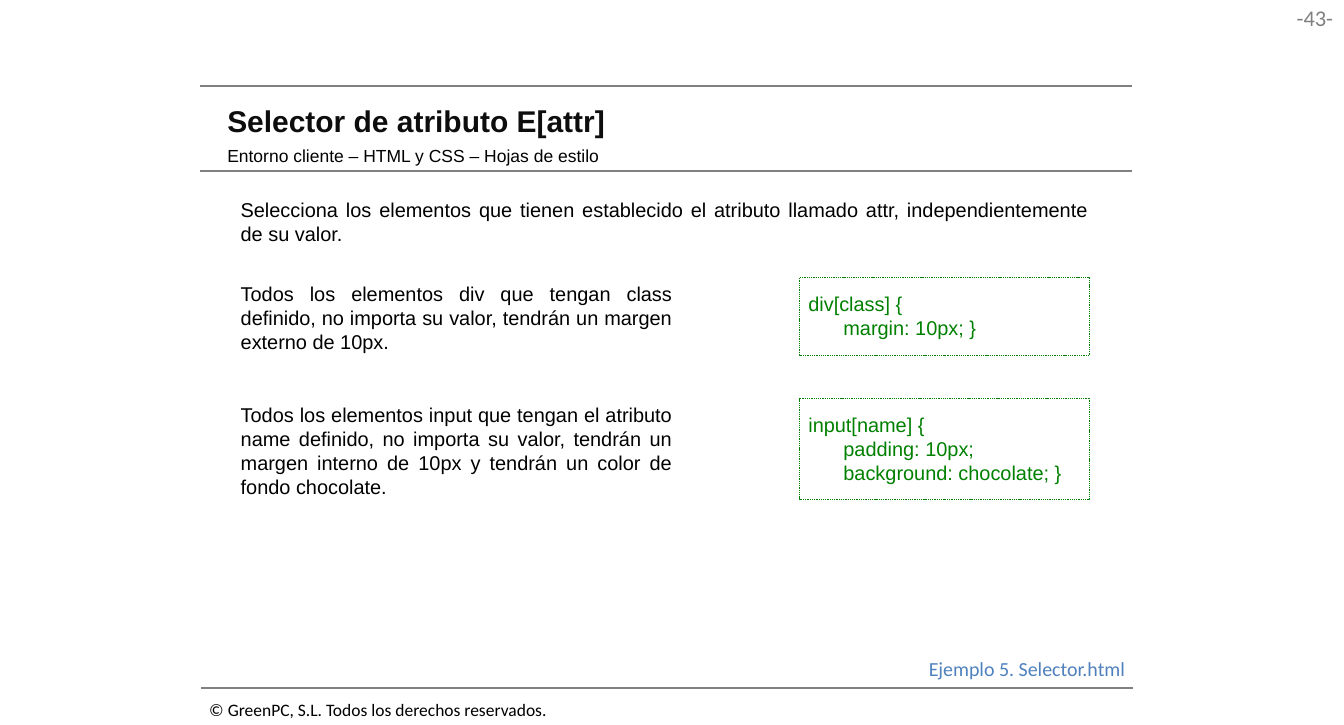
from dataclasses import dataclass

from lxml.etree import SubElement
from pptx import Presentation
from pptx.dml.color import RGBColor
from pptx.enum.dml import MSO_LINE
from pptx.enum.shapes import MSO_CONNECTOR, MSO_SHAPE
from pptx.enum.text import MSO_ANCHOR, MSO_AUTO_SIZE, PP_ALIGN
from pptx.oxml.ns import qn
from pptx.util import Inches, Pt

WIDE, HIGH = Inches(14.96), Inches(8.07)


@dataclass(frozen=True)
class Theme:
    sans: str = "Arial"
    foot: str = "Calibri"
    black: str = "000000"
    head: str = "0D0D0D"
    gray: str = "808080"
    green: str = "008000"
    blue: str = "4F81BD"
    white: str = "FFFFFF"
    big: int = 24
    page: int = 18
    text: int = 16
    small: int = 14


LOOK = Theme()

# Grid in percent of the slide's width and height
LEFT, RIGHT = 14.91, 84.22
HEAD, BODY, CODE = 16.04, 17.25, 59.49
LINE = 3.35  # height of one text line
TOP, STEP = 38.29, 16.6  # first example row and row pitch

EXAMPLES = [
    ("Todos los elementos div que tengan class definido, no importa su valor, "
     "tendrán un margen externo de 10px.", 3,
     ["div[class] {", "\tmargin: 10px; }"]),
    ("Todos los elementos input que tengan el atributo name definido, no importa "
     "su valor, tendrán un margen interno de 10px y tendrán un color de fondo "
     "chocolate.", 4,
     ["input[name] {", "\tpadding: 10px;", "\tbackground: chocolate; }"]),
]


def color(code):
    return RGBColor.from_string(code)


def area(x, y, w, h):
    """Turn percent shares into slide lengths."""
    return [int(size * part / 100)
            for size, part in zip((WIDE, HIGH, WIDE, HIGH), (x, y, w, h))]


def write(shape, *lines, font=LOOK.sans, size=LOOK.text, ink=LOOK.black,
          bold=False, align=PP_ALIGN.LEFT, anchor=MSO_ANCHOR.TOP,
          pad=(0.1, 0.05), wrap=True, plain=False, tab=None):
    """Fill a shape with formatted paragraphs."""
    frame = shape.text_frame
    frame.word_wrap = wrap
    frame.auto_size = MSO_AUTO_SIZE.SHAPE_TO_FIT_TEXT
    frame.vertical_anchor = anchor
    frame.margin_left = frame.margin_right = Inches(pad[0])
    frame.margin_top = frame.margin_bottom = Inches(pad[1])
    for i, line in enumerate(lines):
        para = frame.add_paragraph() if i else frame.paragraphs[0]
        para.alignment = align
        para.space_before = Pt(0)
        props = para._p.get_or_add_pPr()
        if plain:
            props.set("marL", "0")
            props.set("indent", "0")
            SubElement(props, qn("a:buNone"))
        if tab:
            stops = SubElement(props, qn("a:tabLst"))
            SubElement(stops, qn("a:tab"), pos=str(Inches(tab)), algn="l")
        run = para.add_run()
        run.text = line
        run.font.name, run.font.size, run.font.bold = font, Pt(size), bold
        run.font.color.rgb = color(ink)


def label(slide, box, text, **form):
    write(slide.shapes.add_textbox(*area(*box)), text, **form)


def holder(shape, box, text, **form):
    shape.left, shape.top, shape.width, shape.height = area(*box)
    write(shape, text, anchor=MSO_ANCHOR.MIDDLE, pad=(0.13, 0.07), **form)


def rule(slide, x, y):
    start, level, span, _ = area(x, y, RIGHT - LEFT, 0)
    line = slide.shapes.add_connector(
        MSO_CONNECTOR.STRAIGHT, start, level, start + span, level)
    line.line.color.rgb = color(LOOK.gray)
    line.line.width = Pt(1.5)
    SubElement(line._element.spPr, qn("a:effectLst"))


def code(slide, top, lines):
    box = area(CODE, top, 21.59, len(lines) * LINE + 3.97)
    shape = slide.shapes.add_shape(MSO_SHAPE.RECTANGLE, *box)
    shape.shadow.inherit = False
    shape.fill.solid()
    shape.fill.fore_color.rgb = color(LOOK.white)
    shape.line.color.rgb = color(LOOK.green)
    shape.line.width = Pt(0.25)
    shape.line.dash_style = MSO_LINE.DASH
    write(shape, *lines, ink=LOOK.green, pad=(0.1, 0.16), tab=0.39)


def main():
    deck = Presentation()
    deck.slide_width, deck.slide_height = WIDE, HIGH
    slide = deck.slides.add_slide(deck.slide_layouts[1])

    # Frame: page number, rules and footer
    label(slide, (94.45, 0, 5.48, 5.08), "-43-", font=LOOK.foot, size=LOOK.page,
          ink=LOOK.gray, align=PP_ALIGN.RIGHT, pad=(0.11, 0.05), wrap=False)
    for x, y in ((LEFT, 11.9), (LEFT, 23.54), (LEFT + 0.06, 94.92)):
        rule(slide, x, y)
    label(slide, (LEFT, 95.79, 26.67, 4.21),
          "© GreenPC, S.L. Todos los derechos reservados.",
          font=LOOK.foot, size=LOOK.small, wrap=False)

    # Title and subtitle
    holder(slide.shapes.title, (HEAD, 13.26, 67.65, 6.69),
           "Selector de atributo E[attr]",
           size=LOOK.big, ink=LOOK.head, bold=True)
    holder(slide.placeholders[1], (HEAD, 19.21, 50.8, 4.58),
           "Entorno cliente – HTML y CSS – Hojas de estilo",
           size=LOOK.small, plain=True)

    # Introduction
    label(slide, (BODY, 26.64, 64.37, 7.93),
          "Selecciona los elementos que tienen establecido el atributo llamado "
          "attr, independientemente de su valor.", align=PP_ALIGN.JUSTIFY)

    # Examples: explanation beside its code
    for i, (text, count, lines) in enumerate(EXAMPLES):
        top = TOP + i * STEP
        label(slide, (BODY, top, 33.42, count * LINE + 1.24), text,
              align=PP_ALIGN.JUSTIFY)
        code(slide, top, lines)

    # Example file
    label(slide, (68.45, 89.96, 16.18, 4.58), "Ejemplo 5. Selector.html",
          font=LOOK.foot, ink=LOOK.blue, wrap=False)

    deck.save("out.pptx")


if __name__ == "__main__":
    main()
